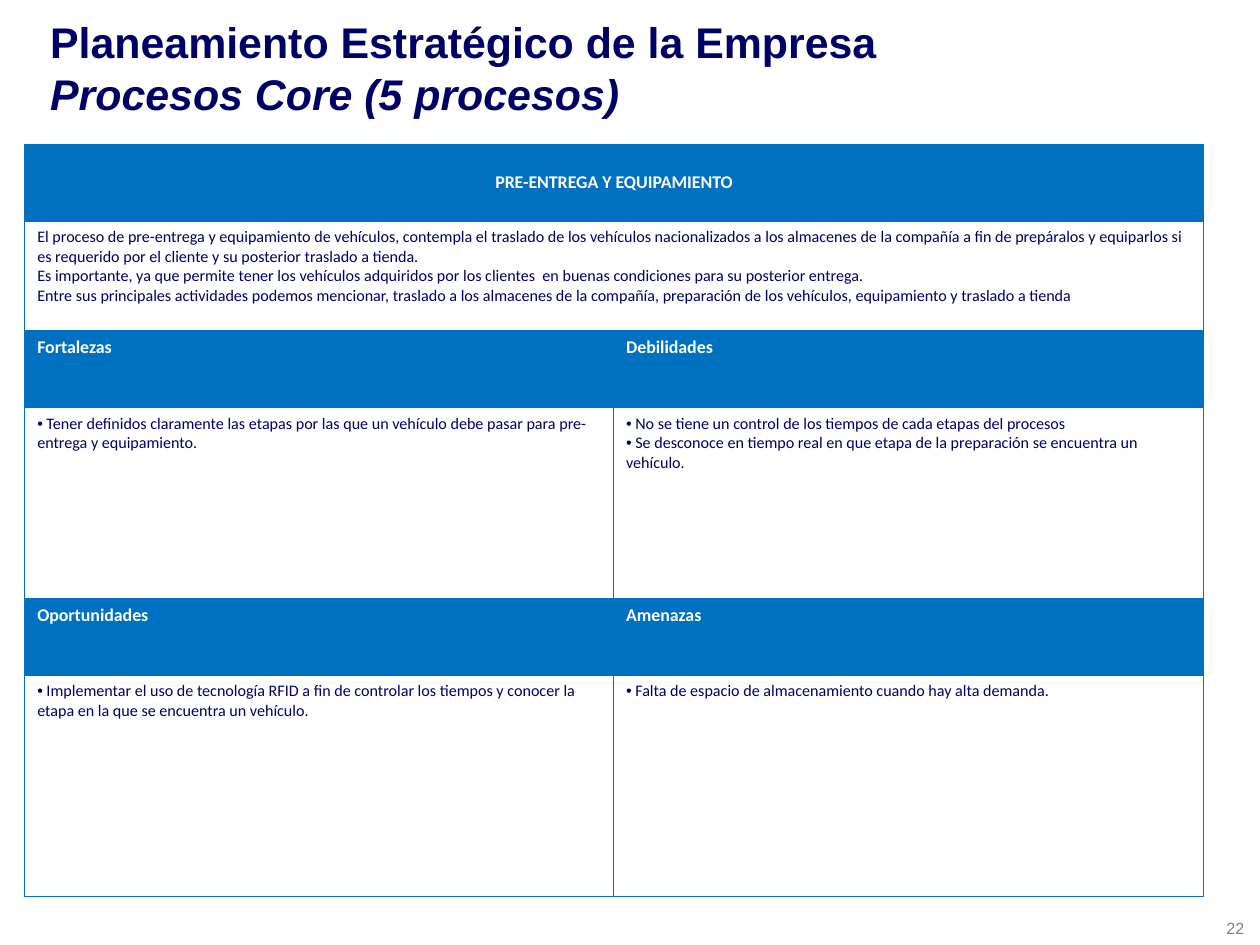
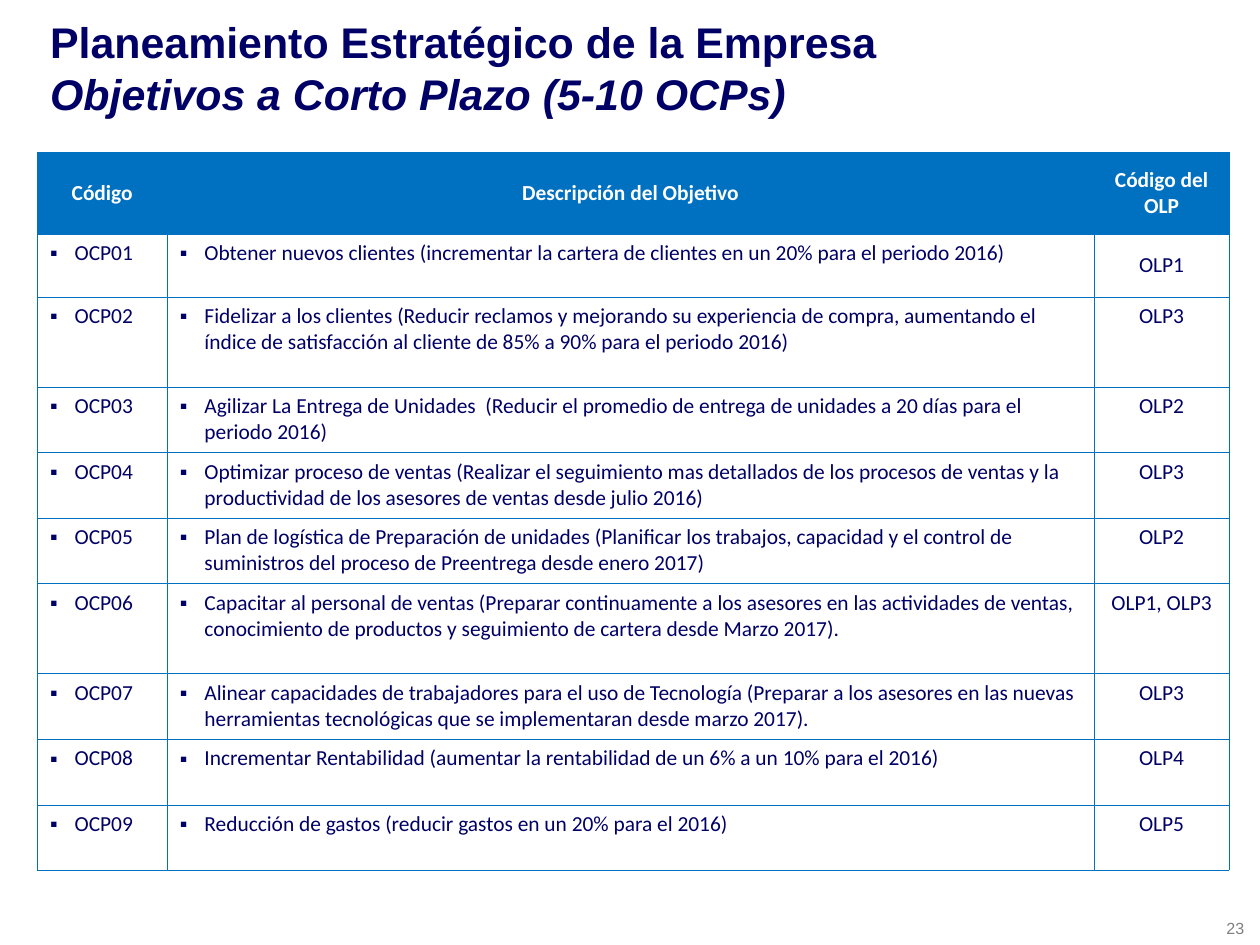
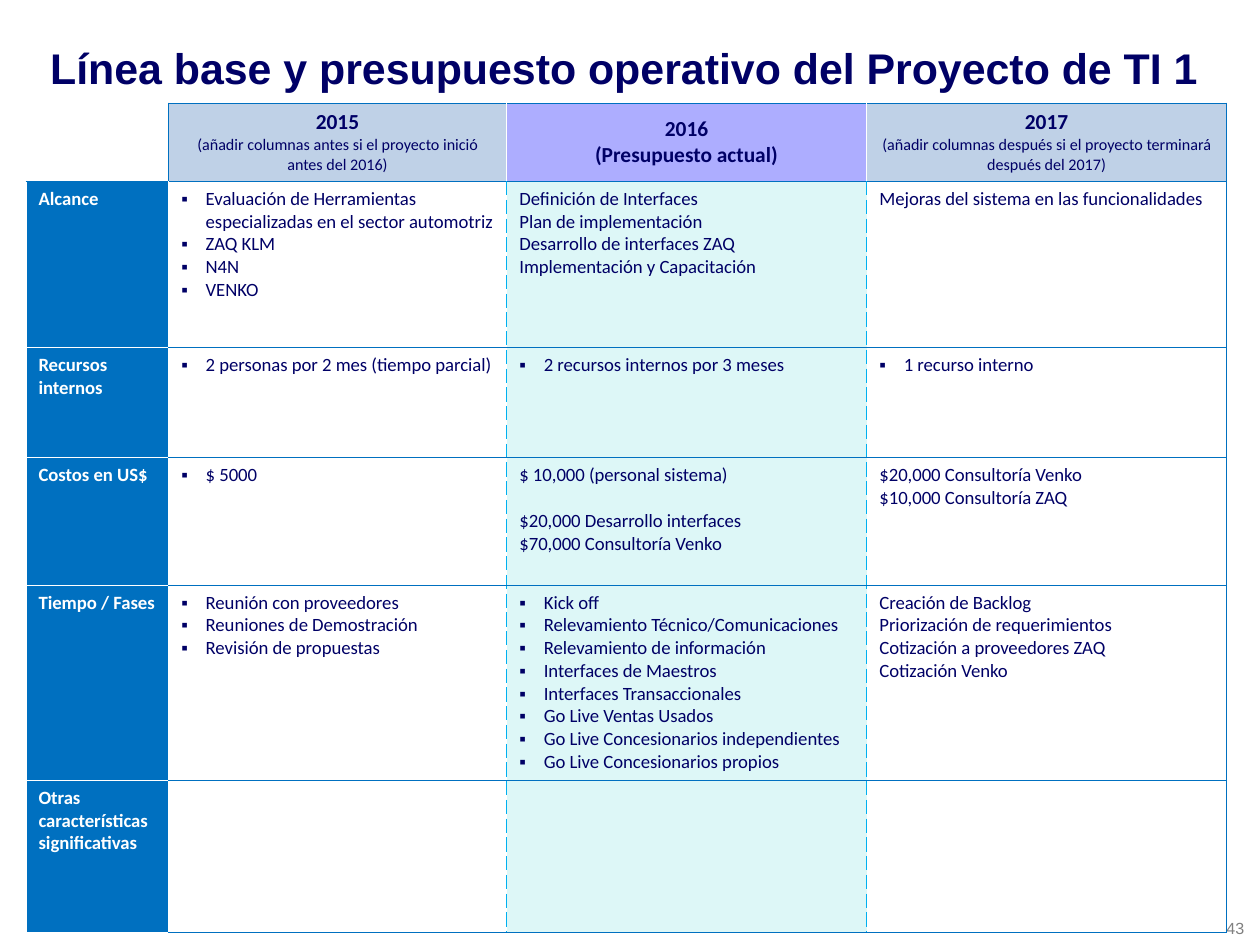
"""Builds three planning slides: a process review, short-term goals and a project budget."""
from dataclasses import dataclass

from lxml.etree import SubElement
from pptx import Presentation
from pptx.dml.color import RGBColor as Rgb
from pptx.enum.text import MSO_ANCHOR as Anchor, MSO_AUTO_SIZE as AutoSize, PP_ALIGN as Align
from pptx.oxml.ns import qn
from pptx.util import Inches, Pt


@dataclass(frozen=True)
class Theme:
    navy: str = "000066"
    blue: str = "0070C0"
    cyan: str = "00B0F0"
    white: str = "FFFFFF"
    gray: str = "808080"
    steel: str = "BFD1E7"
    lilac: str = "ADADFF"
    mint: str = "DDF7F7"
    title_font: str = "Arial"
    body_font: str = "Calibri"
    title_size: float = 24
    large: float = 12
    medium: float = 10.5
    heading: float = 10
    small: float = 9
    border: float = 0.25
    hanging: float = 0.19


THEME = Theme()
SLIDE_SIZE = (9.8, 7.35)
TITLE_BOX = (0.29, 0.16, 9.27, 0.73)
NUMBER_BOX = (9.44, 7.09, 0.36, 0.25)


@dataclass(frozen=True)
class Line:
    text: str
    bullet: str = ""
    size: float | None = None
    bold: bool | None = None
    gap: float = 0


@dataclass(frozen=True)
class Edges:
    left: str = THEME.blue
    right: str = THEME.blue
    top: str = THEME.blue
    bottom: str = THEME.blue


@dataclass(frozen=True)
class Look:
    fill: str | None
    ink: str
    size: float
    bold: bool = False
    center: bool = False
    middle: bool = False
    edges: Edges = Edges()


def plain(*texts):
    return [Line(text) for text in texts]


def dots(*texts):
    return [Line(" " + text, "•") for text in texts]


def squares(*texts):
    return [Line(text, "▪") for text in texts]


def year(name, note, **style):
    return [Line(name), Line(note, **style)]


COMPANY_TITLE = "Planeamiento Estratégico de la Empresa"

PROCESS = [
    [plain("PRE-ENTREGA Y EQUIPAMIENTO")],
    [plain(
        "El proceso de pre-entrega y equipamiento de vehículos, contempla el traslado de los vehículos "
        "nacionalizados a los almacenes de la compañía a fin de prepáralos y equiparlos si es requerido "
        "por el cliente y su posterior traslado a tienda.",
        "Es importante, ya que permite tener los vehículos adquiridos por los clientes  en buenas "
        "condiciones para su posterior entrega.",
        "Entre sus principales actividades podemos mencionar, traslado a los almacenes de la compañía, "
        "preparación de los vehículos, equipamiento y traslado a tienda")],
    [plain("Fortalezas"), [], plain("Debilidades")],
    [dots("Tener definidos claramente las etapas por las que un vehículo debe pasar para pre-entrega "
          "y equipamiento."),
     [],
     dots("No se tiene un control de los tiempos de cada etapas del procesos",
          "Se desconoce en tiempo real en que etapa de la preparación se encuentra un vehículo.")],
    [plain("Oportunidades"), [], plain("Amenazas")],
    [dots("Implementar el uso de tecnología RFID a fin de controlar los tiempos y conocer la etapa en "
          "la que se encuentra un vehículo."),
     [],
     dots("Falta de espacio de almacenamiento cuando hay alta demanda.")],
]
PROCESS_MERGES = [(0, 2), (1, 2), (2, 1), (3, 1), (5, 1)]

GOAL_HEADS = ("Código", "Descripción del Objetivo", "Código del OLP")
GOALS = [
    ("Obtener nuevos clientes (incrementar la cartera de clientes en un 20% para el periodo 2016)",
     "OLP1", 0.49),
    ("Fidelizar a los clientes (Reducir reclamos y mejorando su experiencia de compra, aumentando el "
     "índice de satisfacción al cliente de 85% a 90% para el periodo 2016)", "OLP3", 0.7),
    ("Agilizar La Entrega de Unidades  (Reducir el promedio de entrega de unidades a 20 días para el "
     "periodo 2016)", "OLP2", 0.51),
    ("Optimizar proceso de ventas (Realizar el seguimiento mas detallados de los procesos de ventas y "
     "la productividad de los asesores de ventas desde julio 2016)", "OLP3", 0.51),
    ("Plan de logística de Preparación de unidades (Planificar los trabajos, capacidad y el control de "
     "suministros del proceso de Preentrega desde enero 2017)", "OLP2", 0.51),
    ("Capacitar al personal de ventas (Preparar continuamente a los asesores en las actividades de "
     "ventas, conocimiento de productos y seguimiento de cartera desde Marzo 2017).",
     "OLP1, OLP3", 0.7),
    ("Alinear capacidades de trabajadores para el uso de Tecnología (Preparar a los asesores en las "
     "nuevas herramientas tecnológicas que se implementaran desde marzo 2017).", "OLP3", 0.51),
    ("Incrementar Rentabilidad (aumentar la rentabilidad de un 6% a un 10% para el 2016)",
     "OLP4", 0.51),
    ("Reducción de gastos (reducir gastos en un 20% para el 2016)", "OLP5", 0.51),
]

NOTE = {"size": THEME.small, "bold": False}
BUDGET = [
    [[],
     year("2015", "(añadir columnas antes si el proyecto inició antes del 2016)", **NOTE),
     year("2016", "(Presupuesto actual)"),
     year("2017", "(añadir columnas después si el proyecto terminará después del 2017)", **NOTE)],
    [plain("Alcance"),
     squares("Evaluación de Herramientas especializadas en el sector automotriz", "ZAQ KLM", "N4N",
             "VENKO"),
     plain("Definición de Interfaces", "Plan de implementación", "Desarrollo de interfaces ZAQ",
           "Implementación y Capacitación"),
     plain("Mejoras del sistema en las funcionalidades")],
    [plain("Recursos internos"),
     squares("2 personas por 2 mes (tiempo parcial)"),
     squares("2 recursos internos por 3 meses"),
     squares("1 recurso interno")],
    [plain("Costos en US$"),
     squares("$ 5000"),
     [Line("$ 10,000 (personal sistema)"), Line("$20,000 Desarrollo interfaces", gap=12.8),
      Line("$70,000 Consultoría Venko")],
     plain("$20,000 Consultoría Venko", "$10,000 Consultoría ZAQ")],
    [plain("Tiempo / Fases"),
     squares("Reunión con proveedores", "Reuniones de Demostración", "Revisión de propuestas"),
     squares("Kick off", "Relevamiento Técnico/Comunicaciones", "Relevamiento de información",
             "Interfaces de Maestros", "Interfaces Transaccionales", "Go Live Ventas Usados",
             "Go Live Concesionarios independientes", "Go Live Concesionarios propios"),
     plain("Creación de Backlog", "Priorización de requerimientos", "Cotización a proveedores ZAQ",
           "Cotización Venko")],
    [plain("Otras características significativas"), [], [], []],
]


def inches(values):
    return [Inches(value) for value in values]


def add_run(para, text, font, size, color, bold=False, italic=False):
    span = para.add_run()
    span.text = text
    span.font.name, span.font.size = font, Pt(size)
    span.font.bold, span.font.italic = bold, italic
    span.font.color.rgb = Rgb.from_string(color)


def add_page(deck, number, title, subtitle=None):
    page = deck.slides.add_slide(deck.slide_layouts[5])
    heading = page.shapes.title
    heading.left, heading.top, heading.width, heading.height = inches(TITLE_BOX)
    frame = heading.text_frame
    frame.auto_size, frame.vertical_anchor = AutoSize.NONE, Anchor.MIDDLE
    para = frame.paragraphs[0]
    para.alignment = Align.LEFT
    style = (THEME.title_font, THEME.title_size, THEME.navy, True)
    add_run(para, title, *style)
    if subtitle:
        para.add_line_break()
        add_run(para, subtitle, *style, italic=True)
    box = page.shapes.add_textbox(*inches(NUMBER_BOX))
    box.text_frame.word_wrap = False
    add_run(box.text_frame.paragraphs[0], str(number), THEME.title_font, THEME.small, THEME.gray)
    return page


def add_bullet(para, char):
    props = para._p.get_or_add_pPr()
    hanging = Inches(THEME.hanging) if char == "▪" else 0
    props.set("marL", str(hanging))
    props.set("indent", str(-hanging))
    SubElement(props, qn("a:buFont"), typeface=THEME.title_font)
    SubElement(props, qn("a:buChar"), char=char)


def draw_edges(cell, edges):
    props = cell._tc.get_or_add_tcPr()
    sides = {"L": edges.left, "R": edges.right, "T": edges.top, "B": edges.bottom}
    for side, color in sides.items():
        line = SubElement(props, qn(f"a:ln{side}"), w=str(Pt(THEME.border)))
        SubElement(SubElement(line, qn("a:solidFill")), qn("a:srgbClr"), val=color)
        SubElement(line, qn("a:prstDash"), val="sysDash" if color == THEME.cyan else "solid")


def fill_cell(cell, lines, look):
    draw_edges(cell, look.edges)
    if look.fill:
        cell.fill.solid()
        cell.fill.fore_color.rgb = Rgb.from_string(look.fill)
    else:
        cell.fill.background()
    cell.vertical_anchor = Anchor.MIDDLE if look.middle else Anchor.TOP
    frame = cell.text_frame
    for index, line in enumerate(lines):
        para = frame.add_paragraph() if index else frame.paragraphs[0]
        para.alignment = Align.CENTER if look.center else Align.LEFT
        if line.gap:
            para.space_before = Pt(line.gap)
        if line.bullet:
            add_bullet(para, line.bullet)
        bold = look.bold if line.bold is None else line.bold
        add_run(para, line.text, THEME.body_font, line.size or look.size, look.ink, bold)


def add_grid(page, left, top, columns, rows, content, look_at, merges=()):
    table = page.shapes.add_table(len(rows), len(columns),
                                  *inches((left, top, sum(columns), sum(rows)))).table
    table.first_row = table.horz_banding = False
    for column, width in zip(table.columns, columns):
        column.width = Inches(width)
    for row, height in zip(table.rows, rows):
        row.height = Inches(height)
    for row, last in merges:
        table.cell(row, 0).merge(table.cell(row, last))
    for row, texts in enumerate(content):
        for column in range(len(columns)):
            lines = texts[column] if column < len(texts) else []
            fill_cell(table.cell(row, column), lines, look_at(row, column))


def process_look(row, column):
    if row % 2:
        return Look(THEME.white, THEME.navy, THEME.small)
    return Look(THEME.blue, THEME.white, THEME.heading, True, center=row == 0, middle=row == 0)


def goal_look(row, column):
    if row == 0:
        return Look(THEME.blue, THEME.white, THEME.large, True, True, True)
    last = column == 2
    return Look(THEME.white, THEME.navy, THEME.large, center=last, middle=last and row == 1)


def budget_look(row, column):
    white, blue, cyan = THEME.white, THEME.blue, THEME.cyan
    if row == 0:
        fill = (None, THEME.steel, THEME.lilac, THEME.steel)[column]
        edges = Edges(blue if column == 1 else white, blue if column in (0, 3) else white,
                      blue if column else white, blue)
        return Look(fill, THEME.navy, THEME.large, True, True, True, edges)
    if column == 0:
        edges = Edges(white, white, blue if row == 1 else white, white)
        return Look(blue, white, THEME.medium, True, edges=edges)
    edges = Edges(white if column == 1 else cyan, blue if column == 3 else cyan)
    return Look(THEME.mint if column == 2 else white, THEME.navy, THEME.medium, edges=edges)


def main():
    deck = Presentation()
    deck.slide_width, deck.slide_height = inches(SLIDE_SIZE)

    page = add_page(deck, 22, COMPANY_TITLE, "Procesos Core (5 procesos)")
    add_grid(page, 0.19, 1.12, (2.29, 2.29, 4.59), (0.6, 0.85, 0.6, 1.48, 0.6, 1.72),
             PROCESS, process_look, PROCESS_MERGES)

    page = add_page(deck, 23, COMPANY_TITLE, "Objetivos a Corto Plazo (5-10 OCPs)")
    goals = [[plain(head) for head in GOAL_HEADS]]
    goals += [[squares(f"OCP{index:02}"), squares(text), plain(code)]
              for index, (text, code, height) in enumerate(GOALS, 1)]
    heights = [0.64] + [height for text, code, height in GOALS]
    add_grid(page, 0.29, 1.18, (1.01, 7.21, 1.05), heights, goals, goal_look)

    page = add_page(deck, 43, "Línea base y presupuesto operativo del Proyecto de TI 1")
    add_grid(page, 0.2, 0.8, (1.11, 2.63, 2.8, 2.8), (0.61, 1.29, 0.86, 0.99, 1.52, 1.18),
             BUDGET, budget_look)

    deck.save("out.pptx")


if __name__ == "__main__":
    main()
